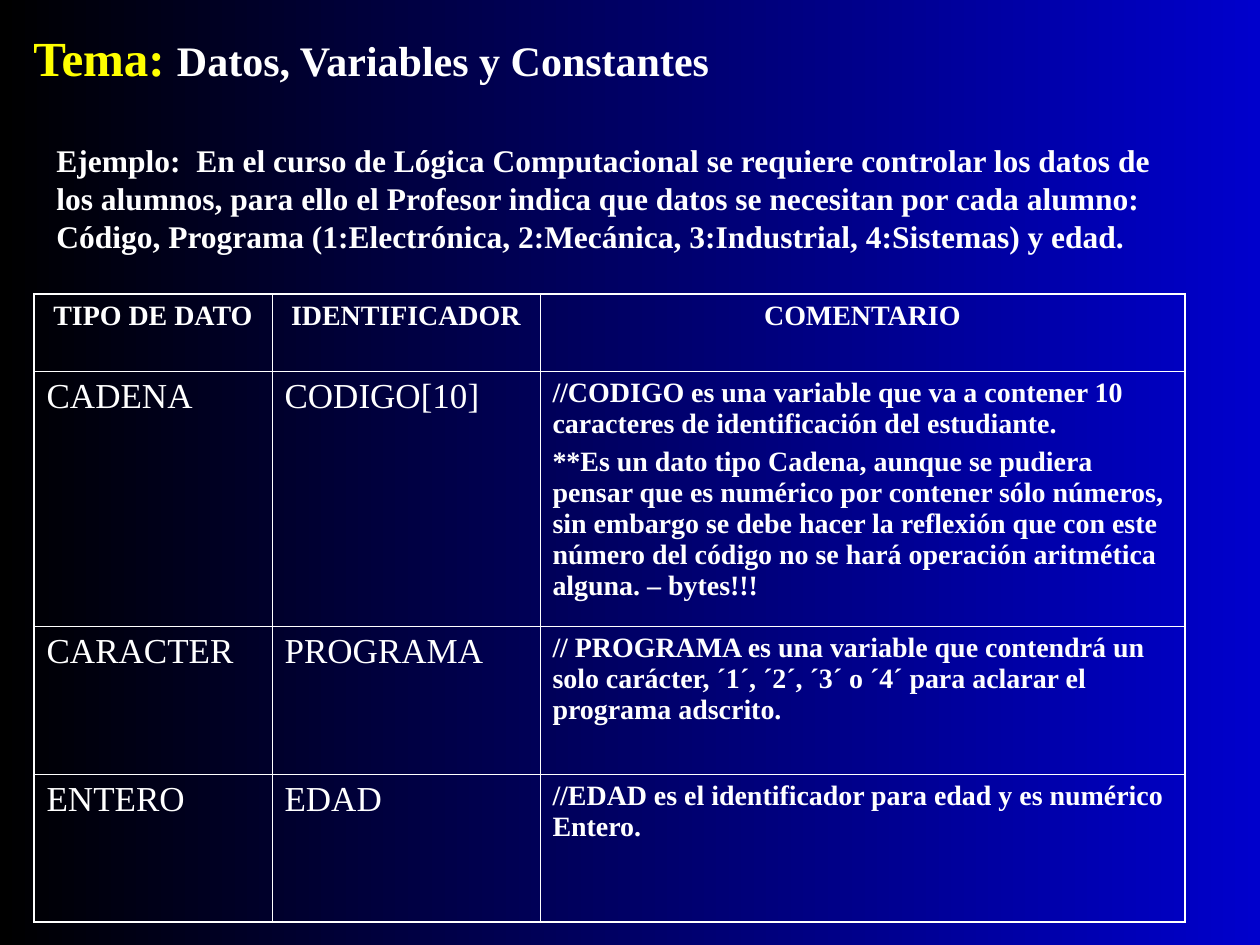
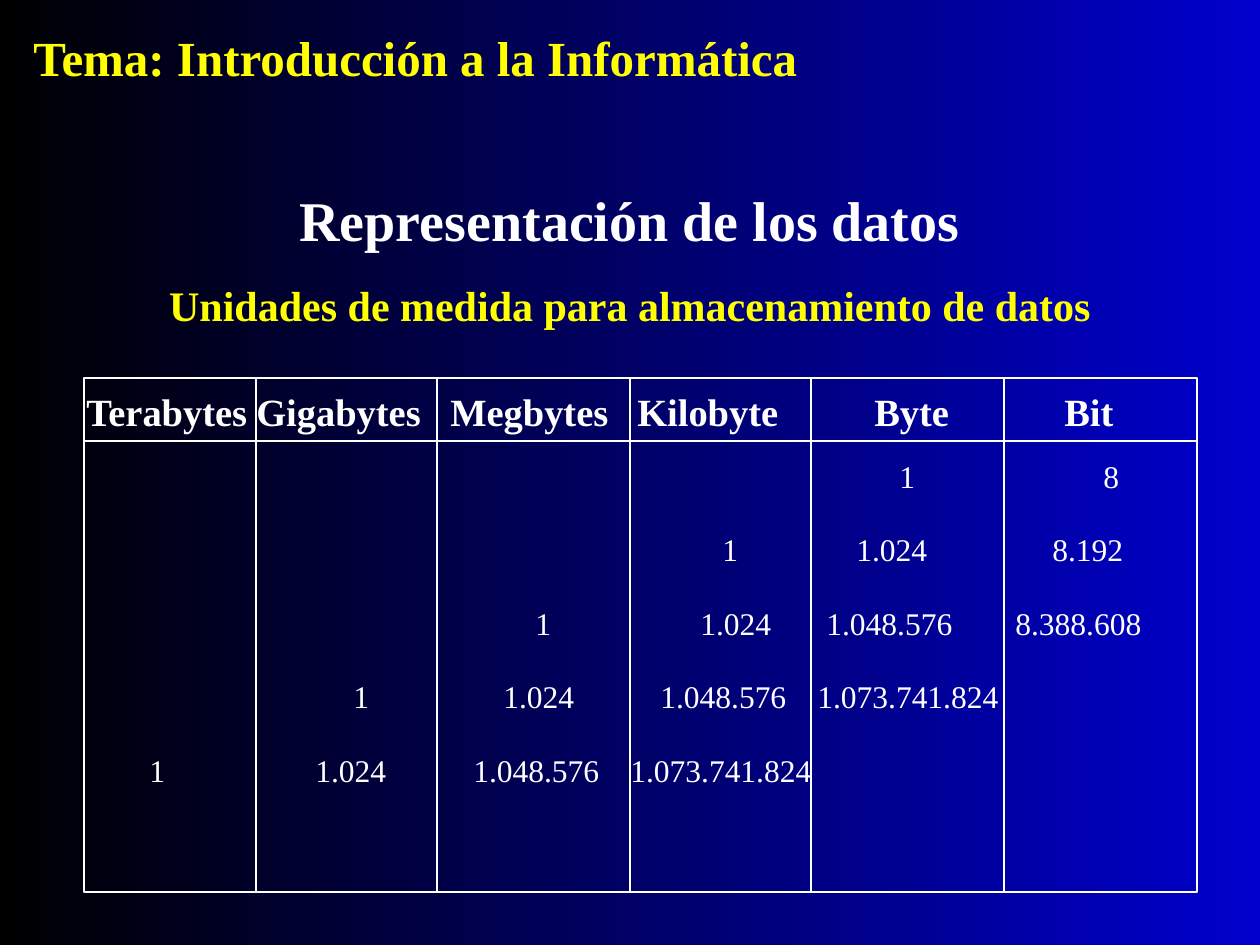
import pptx
import pptx.util
import pptx.dml.color
import pptx.enum.shapes
import pptx.enum.text
import pptx.oxml.ns
from lxml import etree

BLACK = pptx.dml.color.RGBColor(0x00, 0x00, 0x00)
BLUE = pptx.dml.color.RGBColor(0x00, 0x00, 0xCC)
WHITE = pptx.dml.color.RGBColor(0xFF, 0xFF, 0xFF)
YELLOW = pptx.dml.color.RGBColor(0xFF, 0xFF, 0x00)
FONT = "Times New Roman"
PX = 914400 / 126
INSET = 13
CENTER = pptx.enum.text.PP_ALIGN.CENTER
qn = pptx.oxml.ns.qn


def style_paragraph(paragraph, size, color=WHITE, bold=True, align=None):
    paragraph.alignment = align
    paragraph.font.name = FONT
    paragraph.font.size = pptx.util.Pt(size)
    paragraph.font.bold = bold
    paragraph.font.color.rgb = color


def add_text(shapes, box, text, size, color=WHITE, bold=True, align=None, tabs=()):
    """Add a one-paragraph text box; box and tab stops are in px."""
    textbox = shapes.add_textbox(*[round(length * PX) for length in box])
    textbox.text_frame.word_wrap = True
    paragraph = textbox.text_frame.paragraphs[0]
    paragraph.add_run().text = text
    if tabs:
        tab_list = etree.SubElement(paragraph._p.get_or_add_pPr(), qn("a:tabLst"))
        for stop in tabs:
            etree.SubElement(tab_list, qn("a:tab"), pos=str(round(stop * PX)), algn="l")
    style_paragraph(paragraph, size, color, bold, align)
    return paragraph


presentation = pptx.Presentation()
presentation.slide_width = round(1260 * PX)
presentation.slide_height = round(945 * PX)
background = presentation.slide_master.background.fill
background.gradient()
background.gradient_angle = 0
for stop, color in zip(background.gradient_stops, (BLACK, BLUE)):
    stop.color.rgb = color
    stop.position = 0 if color == BLACK else 1
blank_layout = presentation.slide_layouts[6]

# Slide 1: data, variables and constants
slide = presentation.slides.add_slide(blank_layout)
title = add_text(slide.shapes, (21, 21, 725, 72), "Tema: ", 28, YELLOW)
topic = title.add_run()
topic.text = "Datos, Variables y Constantes"
topic.font.size = pptx.util.Pt(24)
topic.font.color.rgb = WHITE

variables = [
    ("TIPO DE DATO", "IDENTIFICADOR", "COMENTARIO"),
    ("CADENA", "CODIGO[10]",
     "//CODIGO es una variable que va a contener 10 caracteres de identificación del "
     "estudiante.\n**Es un dato tipo Cadena, aunque se pudiera pensar que es numérico por "
     "contener sólo números, sin embargo se debe hacer la reflexión que con este número del "
     "código no se hará operación aritmética alguna. – bytes!!!"),
    ("CARACTER", "PROGRAMA",
     "// PROGRAMA es una variable que contendrá un solo carácter, ´1´, ´2´, ´3´ o ´4´ "
     "para aclarar el programa adscrito."),
    ("ENTERO", "EDAD", "//EDAD es el identificador para edad y es numérico Entero."),
]
column_widths = (238, 268, 645)
row_heights = (77, 255, 148, 148)
frame = slide.shapes.add_table(
    len(variables), len(column_widths), round(34 * PX), round(294 * PX),
    round(sum(column_widths) * PX), round(sum(row_heights) * PX))
table = frame.table
table.first_row = False
table.horz_banding = False
for column, width in zip(table.columns, column_widths):
    column.width = round(width * PX)
for row, height in zip(table.rows, row_heights):
    row.height = round(height * PX)

last_row, last_column = len(variables) - 1, len(column_widths) - 1
for row_index, row_texts in enumerate(variables):
    for column_index, text in enumerate(row_texts):
        cell = table.cell(row_index, column_index)
        cell.text = text
        is_header = row_index == 0
        is_bold = is_header or column_index == last_column
        for paragraph in cell.text_frame.paragraphs:
            style_paragraph(paragraph, 16 if is_bold else 20, bold=is_bold,
                            align=CENTER if is_header else None)
        for paragraph in cell.text_frame.paragraphs[1:]:
            paragraph.space_before = pptx.util.Pt(4)
        outer_edges = {"lnL": column_index == 0, "lnR": column_index == last_column,
                       "lnT": is_header, "lnB": row_index == last_row}
        properties = cell._tc.get_or_add_tcPr()
        for edge, is_outer in outer_edges.items():
            width = pptx.util.Pt(1.08 if is_outer else 0.45)
            border = etree.SubElement(properties, qn("a:" + edge), w=str(width))
            border_fill = etree.SubElement(border, qn("a:solidFill"))
            etree.SubElement(border_fill, qn("a:srgbClr"), val=str(WHITE))
        cell.fill.background()

add_text(slide.shapes, (44, 135, 1152, 126),
         "Ejemplo:  En el curso de Lógica Computacional se requiere controlar los datos de los "
         "alumnos, para ello el Profesor indica que datos se necesitan por cada alumno: Código, "
         "Programa (1:Electrónica, 2:Mecánica, 3:Industrial, 4:Sistemas) y edad.", 18)

# Slide 2: storage units
slide = presentation.slides.add_slide(blank_layout)
units = slide.shapes.add_group_shape().shapes

# Each row: texts, their left edges, and the right edge of the box
header = (("Terabytes", "Gigabytes", "Megbytes", "Kilobyte", "Byte", "Bit"),
          (87, 257, 451, 638, 875, 1065), 1130)
equivalences = [
    (("1", "8"), (900, 1104), 1135),
    (("1", "1.024", "8.192"), (723, 857, 1053), 1140),
    (("1", "1.024", "1.048.576", "8.388.608"), (536, 701, 827, 1016), 1160),
    (("1", "1.024", "1.048.576", "1.073.741.824"), (354, 504, 661, 818), 1020),
    (("1", "1.024", "1.048.576", "1.073.741.824"), (150, 316, 474, 631), 832),
]
for index, (texts, lefts, right) in enumerate([header] + equivalences):
    is_header = index == 0
    top = 382 if is_header else 451 + (index - 1) * 147 // 2
    left = lefts[0] - INSET
    add_text(units, (left, top, right - left, 59 if is_header else 50), "\t".join(texts),
             22 if is_header else 18, bold=is_header,
             tabs=[text_left - lefts[0] for text_left in lefts[1:]])

grid_left, grid_top, grid_right, grid_bottom = 84, 378, 1197, 892
grid = units.add_shape(
    pptx.enum.shapes.MSO_SHAPE.RECTANGLE, round(grid_left * PX), round(grid_top * PX),
    round((grid_right - grid_left) * PX), round((grid_bottom - grid_top) * PX))
grid.shadow.inherit = False
grid.fill.background()
grid.line.color.rgb = WHITE
grid.line.width = pptx.util.Pt(0.75)

dividers = [(x, grid_top, x, grid_bottom) for x in (256, 437, 630, 811, 1004)]
dividers.append((grid_left, 441, grid_right, 441))
for ends in dividers:
    divider = units.add_connector(pptx.enum.shapes.MSO_CONNECTOR.STRAIGHT,
                                  *[round(length * PX) for length in ends])
    divider.line.color.rgb = WHITE
    divider.line.width = pptx.util.Pt(0.75)
    etree.SubElement(divider._element.spPr, qn("a:effectLst"))

add_text(slide.shapes, (21, 179, 1218, 81), "Representación de los datos", 32, align=CENTER)
add_text(slide.shapes, (21, 273, 1218, 63), "Unidades de medida para almacenamiento de datos",
         24, YELLOW, align=CENTER)
add_text(slide.shapes, (21, 21, 810, 72), "Tema: Introducción a la Informática", 28, YELLOW)

presentation.save("out.pptx")
